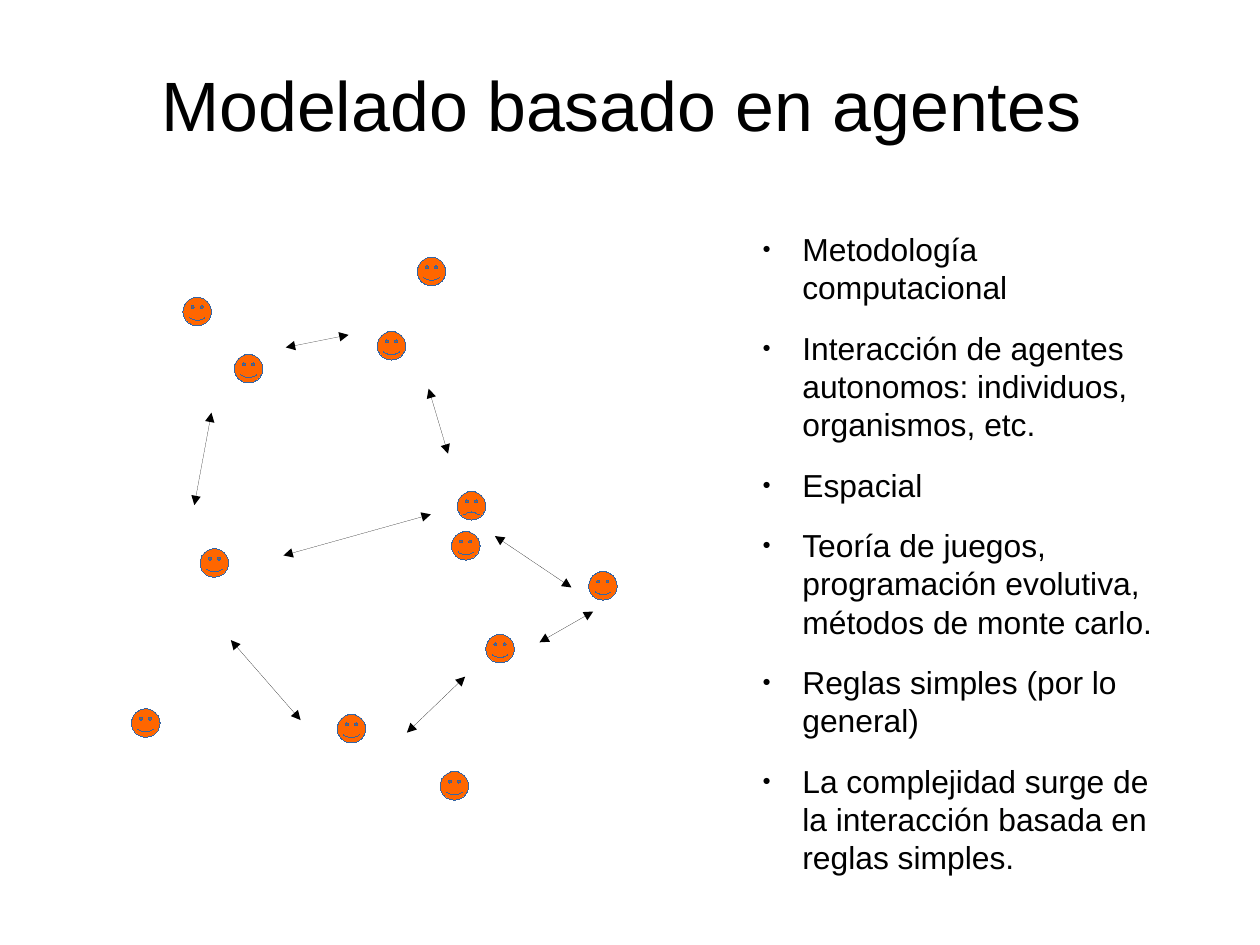
import pptx
import pptx.util
import pptx.dml.color
import pptx.enum.shapes
import pptx.enum.text
import pptx.oxml.ns
import lxml.etree

WIDE, HIGH = pptx.util.Cm(28), pptx.util.Cm(21)
FONT = "Arial"
COLORS = {"text": "000000", "link": "000000", "face": "FF6600", "edge": "3465A4"}
SMILE = 0.09
HAIR = pptx.util.Pt(0.01)

TITLE = "Modelado basado en agentes"
POINTS = [
    "Metodología computacional",
    "Interacción de agentes autonomos: individuos, organismos, etc.",
    "Espacial",
    "Teoría de juegos, programación evolutiva, métodos de monte carlo.",
    "Reglas simples (por lo general)",
    "La complejidad surge de la interacción basada en reglas simples.",
]

# The field of agents is a grid of square cells; a face spans FACE cells.
COLS, FACE = 85, 5
HAPPY = [(62, 66), (80, 55), (12, 51), (43, 13), (18, 17), (36, 80),
         (56, 48), (9, 7), (0, 79), (54, 90), (50, 0)]
SAD = [(57, 41)]
LINKS = [
    ((29.6, 81), (17.4, 67)),
    ((52.4, 45), (26.6, 52.2)),
    ((14, 27.2), (11, 43.4)),
    ((52, 23), (55.4, 34.4)),
    ((58.4, 73.4), (48.2, 83.2)),
    ((63.6, 48.8), (77, 57.8)),
    ((80.8, 62), (71.4, 67.4)),
    ((27, 15.8), (38, 13.6)),
]


def color(name):
    return pptx.dml.color.RGBColor.from_string(COLORS[name])


def add_tag(parent, name, **values):
    return lxml.etree.SubElement(parent, pptx.oxml.ns.qn(name), values)


def add_text(slide, box, lines, anchor):
    """Add a text box without margins, one paragraph per line."""
    frame = slide.shapes.add_textbox(*map(pptx.util.Inches, box)).text_frame
    frame.word_wrap = True
    frame.vertical_anchor = anchor
    frame.margin_left = frame.margin_right = 0
    frame.margin_top = frame.margin_bottom = 0
    frame.text = "\n".join(lines)
    return frame.paragraphs


def style(para, size):
    for run in para.runs:
        run.font.name = FONT
        run.font.size = pptx.util.Pt(size)
        run.font.color.rgb = color("text")


def add_title(slide, box):
    para = add_text(slide, box, [TITLE], pptx.enum.text.MSO_ANCHOR.MIDDLE)[0]
    para.alignment = pptx.enum.text.PP_ALIGN.CENTER
    style(para, 44)


def add_points(slide, box):
    for para in add_text(slide, box, POINTS, pptx.enum.text.MSO_ANCHOR.TOP):
        para.space_after = pptx.util.Pt(14.2)
        props = para._p.get_or_add_pPr()
        props.set("marL", str(pptx.util.Inches(0.47)))
        props.set("indent", str(pptx.util.Inches(-0.35)))
        tint = add_tag(props, "a:buClr")
        add_tag(tint, "a:srgbClr", val=COLORS["text"])
        add_tag(props, "a:buSzPct", val="45000")
        add_tag(props, "a:buFont", typeface=FONT)
        add_tag(props, "a:buChar", char="●")
        style(para, 20)


def add_face(slide, left, top, size, curve):
    kind = pptx.enum.shapes.MSO_SHAPE.SMILEY_FACE
    place = map(pptx.util.Inches, (left, top, size, size))
    face = slide.shapes.add_shape(kind, *place)
    face.adjustments[0] = curve
    face.shadow.inherit = False
    face.fill.solid()
    face.fill.fore_color.rgb = color("face")
    face.line.color.rgb = color("edge")
    face.line.width = HAIR


def add_link(slide, start, end):
    """Add a hairline with an arrowhead at both ends."""
    kind = pptx.enum.shapes.MSO_CONNECTOR.STRAIGHT
    link = slide.shapes.add_connector(kind, *map(pptx.util.Inches, start + end))
    link.line.color.rgb = color("link")
    link.line.width = HAIR
    line = link.line._get_or_add_ln()
    add_tag(line, "a:headEnd", type="triangle")
    add_tag(line, "a:tailEnd", type="triangle")
    add_tag(link._element.spPr, "a:effectLst")


def add_agents(slide, box):
    left, top, width = box
    cell = width / COLS

    def spot(col, row):
        return left + col * cell, top + row * cell

    for start, end in LINKS:
        add_link(slide, spot(*start), spot(*end))
    for places, curve in ((HAPPY, SMILE), (SAD, -SMILE)):
        for place in places:
            add_face(slide, *spot(*place), FACE * cell, curve)


def main():
    deck = pptx.Presentation()
    deck.slide_width, deck.slide_height = WIDE, HIGH
    slide = deck.slides.add_slide(deck.slide_layouts[6])
    add_title(slide, (0.48, 0.22, 0.9 * WIDE.inches, HIGH.inches / 6))
    add_points(slide, (6.55, 2.01, 0.34 * WIDE.inches, 0.58 * HIGH.inches))
    add_agents(slide, (1.15, 2.25, 4.25))
    deck.save("out.pptx")


if __name__ == "__main__":
    main()
